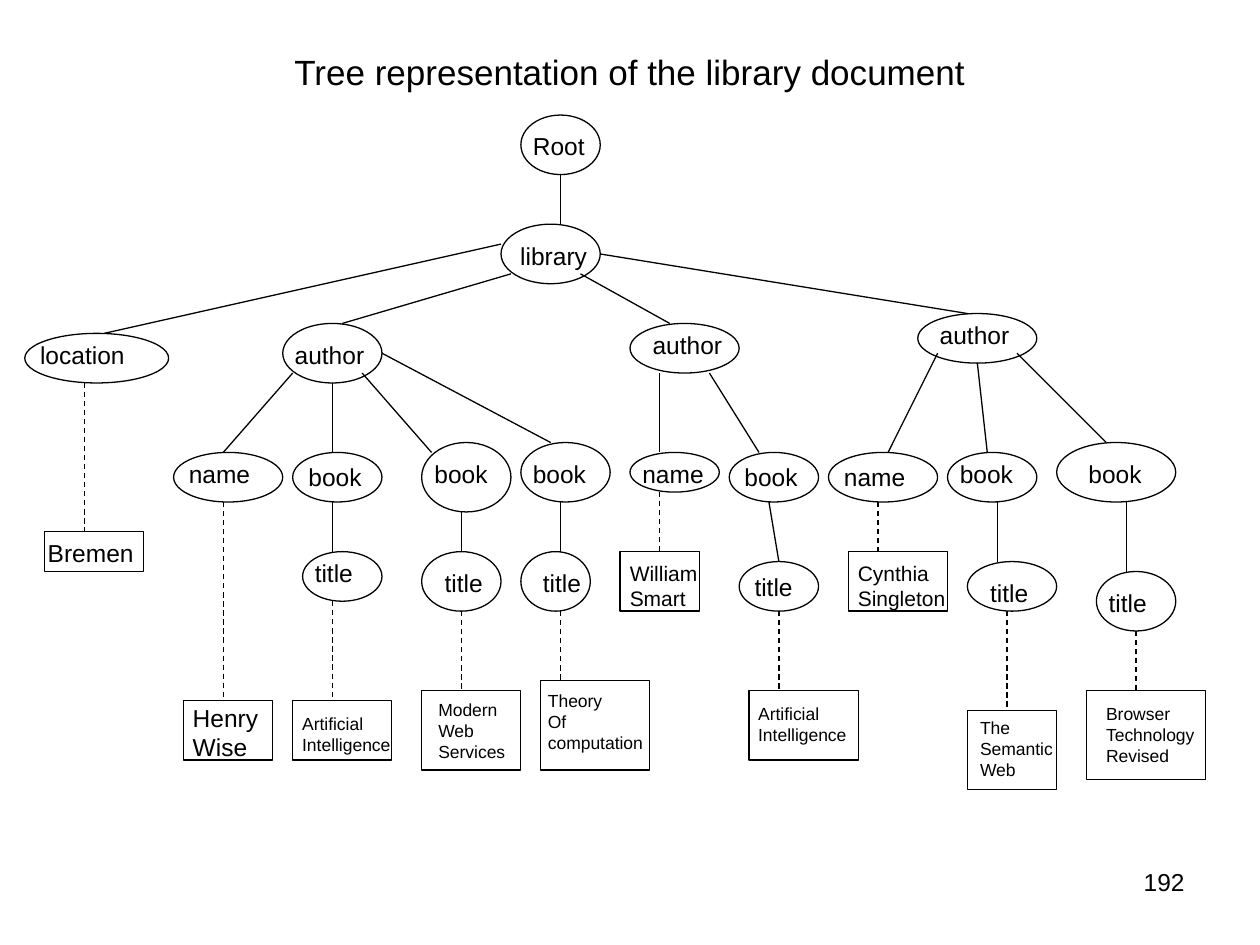
from dataclasses import dataclass

from lxml.etree import SubElement
from pptx import Presentation
from pptx.dml.color import RGBColor
from pptx.enum.dml import MSO_LINE as Dash
from pptx.enum.shapes import MSO_CONNECTOR as Link, MSO_SHAPE as Shape
from pptx.enum.text import MSO_ANCHOR as Anchor, MSO_AUTO_SIZE as Fit, PP_ALIGN as Align
from pptx.oxml.ns import qn
from pptx.util import Pt


@dataclass(frozen=True)
class Theme:
    font: str = "Arial"
    ink: RGBColor = RGBColor(0, 0, 0)
    title: int = 20
    large: int = 14
    mid: int = 12
    small: int = 10
    line: float = 0.75


theme = Theme()
STEP, LEFT, TOP = 5.67, 2.83, 3.4  # drawing grid, in points


def spot(col, row):
    """Turn a grid point into slide lengths."""
    return Pt(LEFT + STEP * col), Pt(TOP + STEP * row)


def write(frame, text, size, align=Align.LEFT):
    frame.text = text
    for para in frame.paragraphs:
        para.alignment = align
        for run in para.runs:
            run.font.name = theme.font
            run.font.size = Pt(size)
            run.font.color.rgb = theme.ink


# Text, label left, top and width in points, then column, row, columns, rows
nodes = [
    ("Root", 297.4, 71.3, 44, 52, 11, 8, 6),
    ("library", 290.2, 133.9, 53, 50, 22, 10, 6),
    ("author", 161.3, 190.8, 54, 28, 32, 10, 6),
    ("author", 365.8, 185, 54, 63, 32, 11, 5),
    ("author", 529.9, 179.3, 54, 92, 31, 12, 5),
    ("location", 15.8, 190.8, 63, 2, 33, 14.5, 5),
    ("name", 100.8, 258.5, 50, 17, 45, 11, 5),
    ("book", 169.2, 260.6, 45, 29, 45, 9, 5),
    ("book", 241.2, 258.5, 45, 42, 44, 9, 7),
    ("book", 297.4, 258.5, 45, 52, 44, 9, 6),
    ("name", 360, 258.5, 50, 63, 45, 9, 4),
    ("book", 418.3, 260.6, 45, 73, 45, 9, 5),
    ("name", 475.2, 260.6, 50, 83, 45, 11, 5),
    ("book", 541.4, 258.5, 45, 95, 45, 9, 5),
    ("book", 614.9, 258.5, 45, 106, 44, 12, 6),
    ("title", 172.8, 315.4, 36, 30, 55, 8, 5),
    ("title", 247, 321.1, 36, 42, 55, 8, 6),
    ("title", 303.1, 321.1, 36, 52, 55, 7, 6),
    ("title", 424.1, 323.3, 36, 74, 56, 8, 5),
    ("title", 558.7, 326.9, 36, 97, 56, 9, 5),
    ("title", 626.4, 332.6, 36, 110, 57, 8, 6),
]
leaves = [
    (theme.large, "Bremen", 20.2, 303.8, 64, 4, 53, 10, 4),
    (theme.large, "Henry\nWise", 103, 398.2, 54, 18, 70, 9, 6),
    (theme.small, "Artificial\nIntelligence", 165.6, 403.9, 67, 29, 70, 10, 6),
    (theme.small, "Modern\nWeb\nServices", 243.4, 396, 55, 42, 69, 10, 8),
    (theme.small, "Theory\nOf\ncomputation", 306, 391, 71, 54, 68, 11, 9),
    (theme.mid, "William\nSmart", 352.8, 316.8, 55, 62, 55, 8, 6),
    (theme.small, "Artificial\nIntelligence", 426.2, 398.2, 67, 75, 69, 11, 7),
    (theme.mid, "Cynthia\nSingleton", 483.1, 316.8, 67, 85, 55, 10, 6),
    (theme.small, "The\nSemantic\nWeb", 553, 406.1, 58, 97, 71, 9, 8),
    (theme.small, "Browser\nTechnology\nRevised", 625, 398.2, 69, 109, 69, 12, 9),
]

# Start column and row, end column and row
solid = [
    (56, 17, 56, 22), (50, 24, 10, 33), (51, 27, 34, 32), (60, 25, 97, 31),
    (58, 27, 67, 32), (29, 37, 22, 45), (33, 38, 33, 45), (36, 37, 43, 45),
    (38, 35, 55, 44), (33, 50, 33, 55), (46, 51, 46, 55), (56, 50, 56, 55),
    (66, 37, 66, 45), (71, 37, 76, 45), (77, 50, 78, 56), (94, 35, 89, 45),
    (98, 36, 99, 45), (102, 35, 111, 44), (100, 50, 100, 56), (113, 50, 113, 57),
]
dashed = [
    (8, 38, 8, 53), (22, 50, 22, 70), (33, 60, 33, 70), (46, 61, 46, 69),
    (56, 61, 56, 68), (66, 49, 66, 55), (78, 61, 78, 69), (88, 50, 88, 55),
    (101, 61, 101, 71), (114, 63, 114, 69),
]

deck = Presentation()
deck.slide_width, deck.slide_height = Pt(720), Pt(540)
slide = deck.slides.add_slide(deck.slide_layouts[5])
shapes = slide.shapes

head = shapes.title
head.left, head.top, head.width, head.height = Pt(36), Pt(21.6), Pt(648), Pt(39)
head.text_frame.vertical_anchor = Anchor.MIDDLE
write(head.text_frame, "Tree representation of the library document", theme.title, Align.CENTER)

page = shapes.add_textbox(Pt(516), Pt(492), Pt(168), Pt(37.5))
page.text_frame.word_wrap = True
write(page.text_frame, "192", theme.large, Align.RIGHT)

items = [(Shape.OVAL, theme.large, *node) for node in nodes]
items += [(Shape.RECTANGLE, *leaf) for leaf in leaves]

for kind, size, text, left, top, width, *cell in items:
    tall = 7.2 + 1.2 * size * len(text.split("\n"))
    label = shapes.add_textbox(Pt(left), Pt(top), Pt(width), Pt(tall))
    label.text_frame.word_wrap = False
    label.text_frame.auto_size = Fit.SHAPE_TO_FIT_TEXT
    write(label.text_frame, text, size)

tops = {}  # top middle of each leaf box
for kind, size, text, left, top, width, col, row, cols, rows in items:
    form = shapes.add_shape(kind, *spot(col, row), Pt(STEP * cols), Pt(STEP * rows))
    form.shadow.inherit = False
    form.fill.background()
    form.line.color.rgb = theme.ink
    form.line.width = Pt(theme.line)
    if kind == Shape.RECTANGLE:
        tops[col + cols / 2, row] = form

for style, edges in ((Dash.SOLID, solid), (Dash.DASH, dashed)):
    for col, row, col2, row2 in edges:
        edge = shapes.add_connector(Link.STRAIGHT, *spot(col, row), *spot(col2, row2))
        edge.line.color.rgb = theme.ink
        edge.line.width = Pt(theme.line)
        edge.line.dash_style = style
        SubElement(edge._element.spPr, qn("a:effectLst"))
        if (col2, row2) in tops:
            edge.end_connect(tops[col2, row2], 0)

deck.save("out.pptx")
